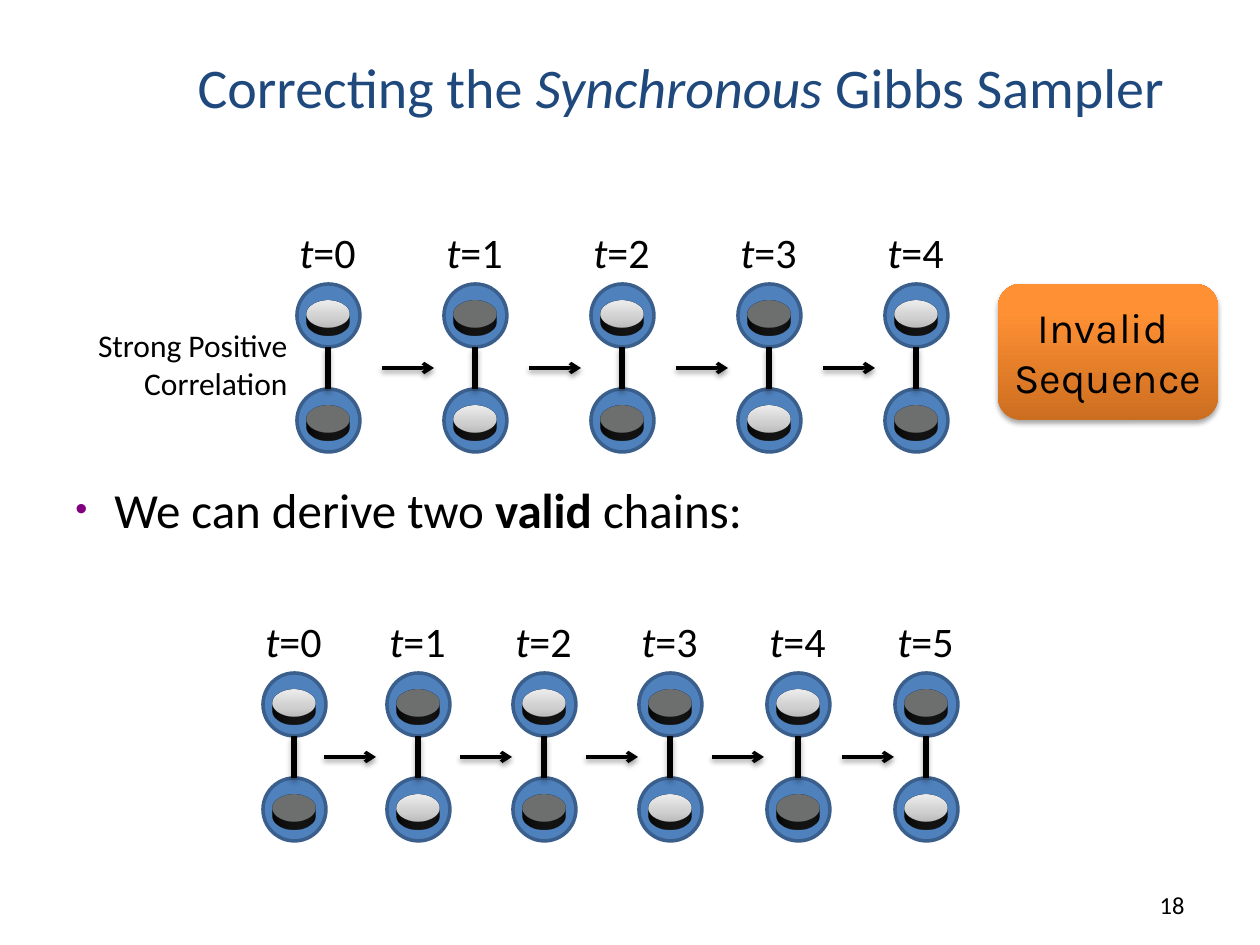
from lxml.etree import SubElement
from pptx import Presentation
from pptx.dml.color import RGBColor
from pptx.enum.shapes import MSO_CONNECTOR as CONNECTOR, MSO_SHAPE as SHAPE
from pptx.enum.text import MSO_ANCHOR as ANCHOR, MSO_AUTO_SIZE as AUTO, PP_ALIGN as ALIGN
from pptx.oxml.ns import qn
from pptx.util import Emu, Pt

SCALE = 914400 // 126
COLORS = {
    "title": "1F497D", "text": "000000", "bullet": "800080",
    "node": "4F81BD", "node_edge": "3A5F8C", "dark": "262626",
}
WHITE_STOPS = [(0, "BDBDBD"), (35, "D1D1D1"), (100, "EEEEEE")]
ORANGE_STOPS = [(0, "CC6E20"), (80, "FF9034"), (100, "FF9136")]
NODE, GAP, COIN = 63, 105, 42


def px(*lengths):
    """Turn pixel lengths into EMU."""
    return [Emu(length * SCALE) for length in lengths]


def rgb(name):
    """Look up a named colour."""
    return RGBColor.from_string(COLORS[name])


def add_child(parent, tag, **attributes):
    """Append a DrawingML element with attributes."""
    return SubElement(parent, qn(f"a:{tag}"), {key: str(value) for key, value in attributes.items()})


def add_shadow(properties, alpha, distance):
    """Give a shape or line a soft shadow below it."""
    effects = add_child(properties, "effectLst")
    shadow = add_child(effects, "outerShdw", blurRad=Pt(3.1), dist=Pt(distance),
                       dir=5400000, rotWithShape=0)
    color = add_child(shadow, "srgbClr", val=COLORS["text"])
    add_child(color, "alpha", val=alpha * 1000)


def fill_gradient(shape, stops):
    """Fill a shape with a gradient rising from bottom to top."""
    shape.fill.gradient()
    shape.fill.gradient_angle = 90
    stop_list = shape.element.spPr.find(qn("a:gradFill")).find(qn("a:gsLst"))
    for stop in list(stop_list):
        stop_list.remove(stop)
    for position, color in stops:
        add_child(add_child(stop_list, "gs", pos=position * 1000), "srgbClr", val=color)


def write_runs(para, spans, size, color="text", font="Calibri"):
    """Add (text, style) spans, where style is italic, bold or empty."""
    for text, style in spans:
        span = para.add_run()
        span.text = text
        span.font.size, span.font.name = Pt(size), font
        span.font.color.rgb = rgb(color)
        span.font.italic, span.font.bold = style == "italic", style == "bold"


def add_text(page, bounds, lines, size, align=ALIGN.LEFT, wrap=False, anchor=ANCHOR.TOP):
    """Add a text box with one list of spans per paragraph."""
    box = page.shapes.add_textbox(*px(*bounds))
    frame = box.text_frame
    frame.word_wrap, frame.vertical_anchor = wrap, anchor
    frame.auto_size = AUTO.NONE if wrap else AUTO.SHAPE_TO_FIT_TEXT
    for index, spans in enumerate(lines):
        para = frame.add_paragraph() if index else frame.paragraphs[0]
        para.alignment = align
        write_runs(para, spans, size)
    return box


def add_ellipse(page, center, middle, size, edge, width):
    """Add an outlined circle around a point."""
    left, top = center - size // 2, middle - size // 2
    circle = page.shapes.add_shape(SHAPE.OVAL, *px(left, top, size, size))
    circle.line.color.rgb, circle.line.width = rgb(edge), Pt(width)
    circle.shadow.inherit = False
    return circle


def add_node(page, center, middle):
    """Add a blue variable node."""
    node = add_ellipse(page, center, middle, NODE, "node_edge", 2)
    node.fill.solid()
    node.fill.fore_color.rgb = rgb("node")


def add_coin(page, center, middle, white):
    """Add a tilted coin with a white or dark face."""
    coin = add_ellipse(page, center, middle, COIN, "text", 0.75)
    if white:
        fill_gradient(coin, WHITE_STOPS)
    else:
        coin.fill.solid()
        coin.fill.fore_color.rgb = rgb("dark")
    properties = coin.element.spPr
    scene = add_child(properties, "scene3d")
    add_child(scene, "camera", prst="perspectiveRelaxed")
    add_child(scene, "lightRig", rig="threePt", dir="t")
    solid = add_child(properties, "sp3d", extrusionH=76200)
    add_child(add_child(solid, "extrusionClr"), "srgbClr", val=COLORS["dark"])


def add_line(page, start, end, width, alpha, distance):
    """Add a straight black connector with a shadow."""
    line = page.shapes.add_connector(CONNECTOR.STRAIGHT, *px(*start, *end))
    line.line.color.rgb, line.line.width = rgb("text"), Pt(width)
    add_shadow(line.element.spPr, alpha, distance)
    return line


def add_arrow(page, left, middle):
    """Add a short arrow to the next time step."""
    arrow = add_line(page, (left, middle), (left + 52, middle), 2, 38, 1.6)
    add_child(arrow.element.spPr.find(qn("a:ln")), "tailEnd", type="arrow")


def add_step(page, step, center, middle):
    """Add the label, two linked nodes and coins of one time step."""
    add_text(page, (center - 41, middle - 95, 82, 63), [[("t", "italic"), (f"={step}", "")]], 24)
    white_above = step % 2 == 0
    for y, white in ((middle, white_above), (middle + GAP, not white_above)):
        add_node(page, center, y)
        add_coin(page, center, y - 1, white)
    add_line(page, (center, middle + 32), (center, middle + 74), 3, 35, 1.8)


def add_chain(page, centers, arrow_lefts, middle):
    """Add a sequence of time steps joined by arrows."""
    for step, center in enumerate(centers):
        add_step(page, step, center, middle)
    for left in arrow_lefts:
        add_arrow(page, left, middle + 53)


def add_title(page):
    """Place and format the title."""
    title = page.shapes.title
    title.left, title.top, title.width, title.height = px(185, 21, 1033, 105)
    frame = title.text_frame
    frame.vertical_anchor, frame.auto_size = ANCHOR.BOTTOM, AUTO.NONE
    para = frame.paragraphs[0]
    para.alignment = ALIGN.LEFT
    write_runs(para, [("Correcting the ", ""), ("Synchronous", "italic"),
                      (" Gibbs Sampler", "")], 32, "title")


def add_bullet(page):
    """Add the bulleted statement."""
    box = add_text(page, (63, 473, 1134, 84),
                   [[("We can derive two ", ""), ("valid", "bold"), (" chains:", "")]],
                   28, wrap=True)
    properties = box.text_frame.paragraphs[0]._p.get_or_add_pPr()
    indent = px(39)[0]
    properties.set("marL", str(indent))
    properties.set("indent", str(-indent))
    add_child(add_child(properties, "buClr"), "srgbClr", val=COLORS["bullet"])
    add_child(properties, "buSzPct", val=70000)
    add_child(properties, "buFont", typeface="Arial")
    add_child(properties, "buChar", char="•")


def add_verdict(page):
    """Add the orange verdict box."""
    box = page.shapes.add_shape(SHAPE.ROUNDED_RECTANGLE, *px(998, 284, 220, 136))
    fill_gradient(box, ORANGE_STOPS)
    box.line.fill.background()
    add_shadow(box.element.spPr, 35, 1.8)
    frame = box.text_frame
    frame.text = "Invalid \nSequence"
    frame.word_wrap, frame.vertical_anchor = False, ANCHOR.MIDDLE
    for para in frame.paragraphs:
        para.alignment = ALIGN.CENTER
        font = para.runs[0].font
        font.size, font.name, font.color.rgb = Pt(24), "Karla", rgb("text")


def main():
    """Build and save the slide."""
    deck = Presentation()
    deck.slide_width, deck.slide_height = Emu(9144000), Emu(6858000)
    page = deck.slides.add_slide(deck.slide_layouts[5])
    add_title(page)
    add_chain(page, range(328, 917, 147), range(382, 824, 147), 315)
    add_text(page, (76, 320, 224, 89), [[("Strong Positive", "")], [("Correlation", "")]],
             18, ALIGN.RIGHT)
    add_verdict(page)
    add_bullet(page)
    add_chain(page, (294, 418, 544, 670, 798, 926), (324, 460, 586, 712, 842), 704)
    add_text(page, (1040, 876, 157, 50), [[("18", "")]], 14, ALIGN.RIGHT, True, ANCHOR.BOTTOM)
    deck.save("out.pptx")


if __name__ == "__main__":
    main()
